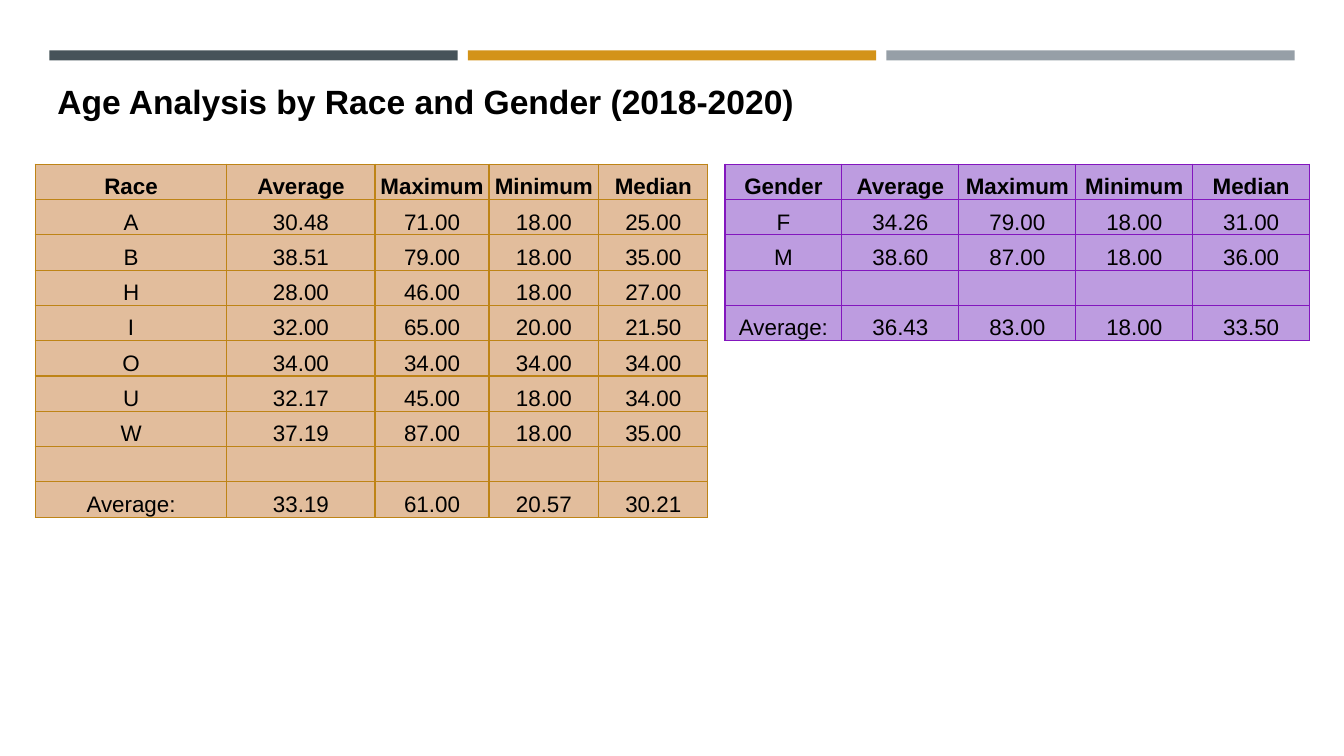
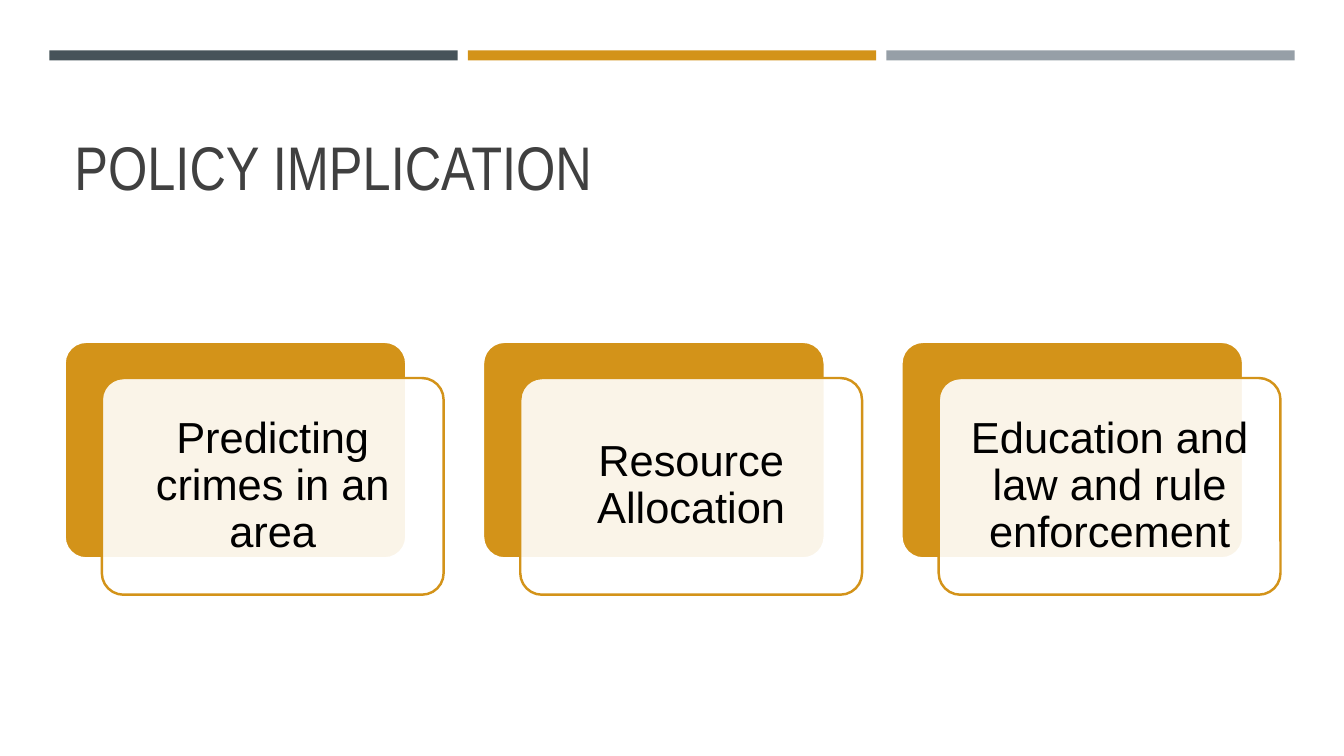
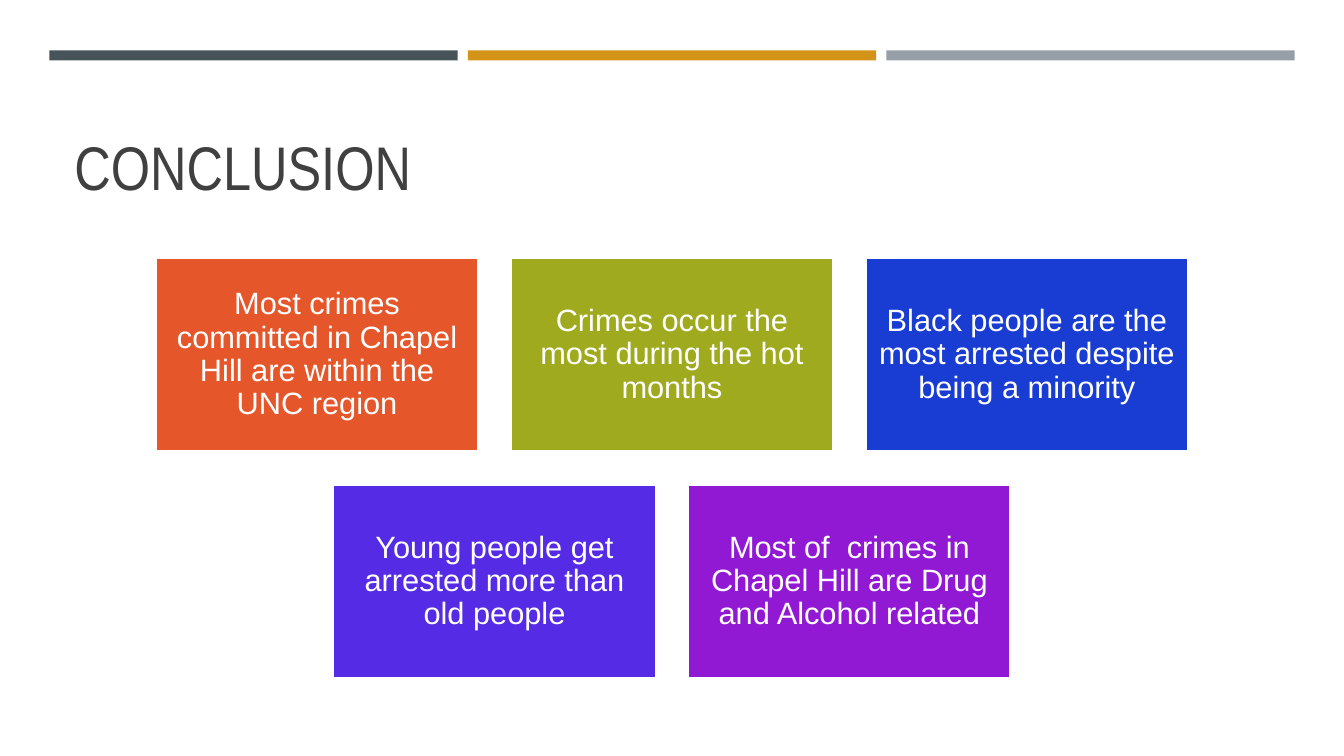
"""Builds three slides on arrests: age tables, policy cards and conclusions."""
from dataclasses import dataclass

from lxml import etree
from pptx import Presentation
from pptx import util as u
from pptx.dml.color import RGBColor
from pptx.enum import shapes, text
from pptx.oxml import ns

BLACK = RGBColor(0x00, 0x00, 0x00)
WHITE = RGBColor(0xFF, 0xFF, 0xFF)
GREY = RGBColor(0x40, 0x40, 0x40)
SLATE = RGBColor(0x46, 0x53, 0x59)
GOLD = RGBColor(0xD3, 0x93, 0x19)
STEEL = RGBColor(0x96, 0x9F, 0xA7)
TAN = RGBColor(0xE2, 0xBD, 0x9C)
BROWN = RGBColor(0xBE, 0x84, 0x16)
LILAC = RGBColor(0xBD, 0x9C, 0xE0)
PURPLE = RGBColor(0x83, 0x16, 0xBE)
ORANGE = RGBColor(0xE5, 0x57, 0x2B)
OLIVE = RGBColor(0xA0, 0xAA, 0x1F)
BLUE = RGBColor(0x19, 0x3C, 0xD3)
INDIGO = RGBColor(0x55, 0x2B, 0xE5)
VIOLET = RGBColor(0x91, 0x19, 0xD3)

WIDE, HIGH = 13.33, 7.5
RECT = shapes.MSO_SHAPE.RECTANGLE
ROUND = shapes.MSO_SHAPE.ROUNDED_RECTANGLE


@dataclass(frozen=True)
class Box:
    left: float
    top: float
    wide: float
    high: float

    def emu(self) -> tuple:
        return tuple(u.Inches(n) for n in (self.left, self.top, self.wide, self.high))


@dataclass(frozen=True)
class Type:
    size: int
    color: RGBColor
    face: str = "Arial"
    bold: bool = False


@dataclass(frozen=True)
class Grid:
    left: float
    cols: tuple
    fill: RGBColor
    edge: RGBColor
    rows: tuple


@dataclass(frozen=True)
class Tile:
    label: str
    fill: RGBColor


HEAD = Type(24, BLACK, bold=True)
TITLE = Type(44, GREY, "Arial Narrow")
CARD = Type(31, BLACK)
NOTE = Type(22, WHITE)

STATS = ("Average", "Maximum", "Minimum", "Median")
BLANK = ("",) * 5
GRIDS = (
    Grid(0.35, (1.9, 1.47, 1.13, 1.09, 1.08), TAN, BROWN, (
        ("Race", *STATS),
        ("A", "30.48", "71.00", "18.00", "25.00"),
        ("B", "38.51", "79.00", "18.00", "35.00"),
        ("H", "28.00", "46.00", "18.00", "27.00"),
        ("I", "32.00", "65.00", "20.00", "21.50"),
        ("O", "34.00", "34.00", "34.00", "34.00"),
        ("U", "32.17", "45.00", "18.00", "34.00"),
        ("W", "37.19", "87.00", "18.00", "35.00"),
        BLANK,
        ("Average:", "33.19", "61.00", "20.57", "30.21"),
    )),
    Grid(7.19, (1.16,) * 5, LILAC, PURPLE, (
        ("Gender", *STATS),
        ("F", "34.26", "79.00", "18.00", "31.00"),
        ("M", "38.60", "87.00", "18.00", "36.00"),
        BLANK,
        ("Average:", "36.43", "83.00", "18.00", "33.50"),
    )),
)
CARDS = (
    "Predicting crimes in an area",
    "Resource Allocation",
    "Education and law and rule enforcement",
)
TILES = (
    (
        Tile("Most crimes committed in Chapel Hill are within the UNC region", ORANGE),
        Tile("Crimes occur the most during the hot months", OLIVE),
        Tile("Black people are the most arrested despite being a minority", BLUE),
    ),
    (
        Tile("Young people get arrested more than old people", INDIGO),
        Tile("Most of  crimes in Chapel Hill are Drug and Alcohol related", VIOLET),
    ),
)


def style(para, kind: Type) -> None:
    font = para.font
    font.name, font.size, font.bold = kind.face, u.Pt(kind.size), kind.bold
    font.color.rgb = kind.color


def add_box(slide, form, box: Box, fill: RGBColor, line: RGBColor | None = None):
    shape = slide.shapes.add_shape(form, *box.emu())
    shape.shadow.inherit = False
    shape.fill.solid()
    shape.fill.fore_color.rgb = fill
    if line is None:
        shape.line.fill.background()
    else:
        shape.line.color.rgb = line
        shape.line.width = u.Pt(1.75)
    if form == ROUND:
        shape.adjustments[0] = 0.1
    return shape


def add_label(shape, label: str, kind: Type, inset: float) -> None:
    frame = shape.text_frame
    frame.word_wrap = True
    frame.vertical_anchor = text.MSO_ANCHOR.MIDDLE
    frame.margin_left = frame.margin_right = u.Inches(inset)
    frame.margin_top = frame.margin_bottom = u.Inches(inset)
    para = frame.paragraphs[0]
    para.text = label
    para.alignment = text.PP_ALIGN.CENTER
    para.line_spacing = 0.9
    style(para, kind)


def add_text(slide, box: Box, label: str, kind: Type):
    frame = slide.shapes.add_textbox(*box.emu()).text_frame
    frame.word_wrap = True
    frame.text = label
    style(frame.paragraphs[0], kind)
    return frame


def add_title(slide, label: str) -> None:
    frame = add_text(slide, Box(0.64, 0.77, 12.06, 1.3), label, TITLE)
    frame.vertical_anchor = text.MSO_ANCHOR.BOTTOM
    frame.paragraphs[0].line_spacing = 0.9


def add_slide(deck):
    slide = deck.slides.add_slide(deck.slide_layouts[6])
    for i, color in enumerate((SLATE, GOLD, STEEL)):
        add_box(slide, RECT, Box(0.49 + 4.15 * i, 0.5, 4.05, 0.1), color)
    return slide


def set_edge(cell, color: RGBColor) -> None:
    props = cell._tc.get_or_add_tcPr()
    for side in ("a:lnL", "a:lnR", "a:lnT", "a:lnB"):
        line = etree.SubElement(props, ns.qn(side), w=str(u.Pt(1)))
        fill = etree.SubElement(line, ns.qn("a:solidFill"))
        etree.SubElement(fill, ns.qn("a:srgbClr"), val=str(color))


def add_grid(slide, grid: Grid) -> None:
    high = 0.35
    box = Box(grid.left, 1.63, sum(grid.cols), high * len(grid.rows))
    table = slide.shapes.add_table(len(grid.rows), len(grid.cols), *box.emu()).table
    table.first_row = table.horz_banding = False
    for col, wide in zip(table.columns, grid.cols):
        col.width = u.Inches(wide)
    for r, row in enumerate(grid.rows):
        table.rows[r].height = u.Inches(high)
        for c, value in enumerate(row):
            cell = table.cell(r, c)
            set_edge(cell, grid.edge)
            cell.fill.solid()
            cell.fill.fore_color.rgb = grid.fill
            cell.margin_left = cell.margin_right = cell.margin_top = u.Inches(0.01)
            cell.margin_bottom = 0
            cell.vertical_anchor = text.MSO_ANCHOR.BOTTOM
            para = cell.text_frame.paragraphs[0]
            if value:
                para.text = value
            para.alignment = text.PP_ALIGN.CENTER
            style(para, Type(16, BLACK, bold=r == 0))


def add_card(slide, left: float, label: str) -> None:
    top, wide, high = 3.39, 3.39, 2.15
    add_box(slide, ROUND, Box(left, top, wide, high), GOLD, WHITE)
    front = add_box(slide, ROUND, Box(left + 0.37, top + 0.36, wide, high), WHITE, GOLD)
    color = front._element.spPr.find(ns.qn("a:solidFill"))[0]
    etree.SubElement(color, ns.qn("a:alpha"), val="90000")
    add_label(front, label, CARD, 0.13)


def add_tiles(slide) -> None:
    wide, high, gap = 3.2, 1.92, 0.32
    for r, row in enumerate(TILES):
        left = (WIDE - len(row) * (wide + gap) + gap) / 2
        for c, tile in enumerate(row):
            box = Box(left + c * (wide + gap), 2.56 + 2.25 * r, wide, high)
            add_label(add_box(slide, RECT, box, tile.fill, WHITE), tile.label, NOTE, 0.09)


def main() -> None:
    deck = Presentation()
    deck.slide_width, deck.slide_height = u.Inches(WIDE), u.Inches(HIGH)

    ages = add_slide(deck)
    for grid in GRIDS:
        add_grid(ages, grid)
    add_text(ages, Box(0.47, 0.75, 7.78, 0.5), "Age Analysis by Race and Gender (2018-2020)", HEAD)

    policy = add_slide(deck)
    add_title(policy, "POLICY IMPLICATION")
    for i, label in enumerate(CARDS):
        add_card(policy, 0.64 + 4.15 * i, label)

    close = add_slide(deck)
    add_title(close, "CONCLUSION")
    add_tiles(close)

    deck.save("out.pptx")


if __name__ == "__main__":
    main()
